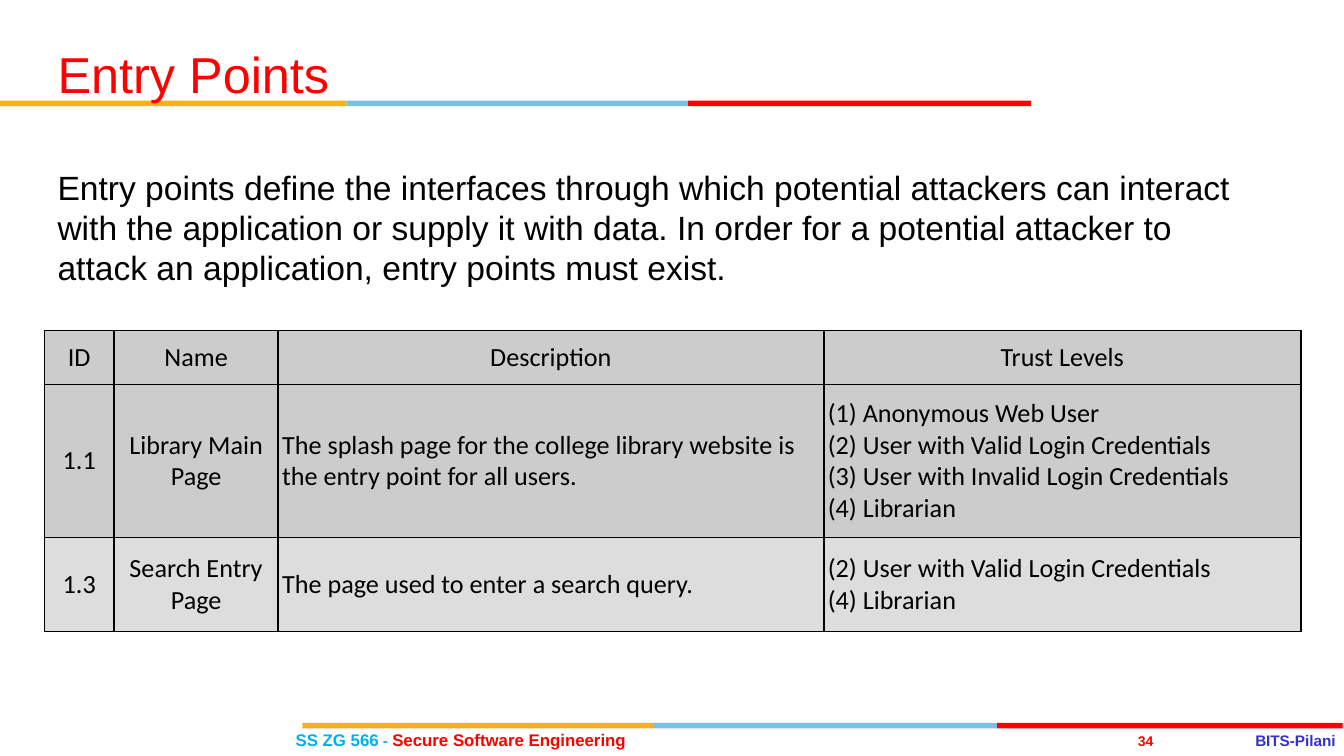
from dataclasses import dataclass

import lxml.etree
import pptx
import pptx.dml.color
import pptx.enum.shapes
import pptx.enum.text
import pptx.oxml.ns
import pptx.util

Inches = pptx.util.Inches
Pt = pptx.util.Pt
ALIGN = pptx.enum.text.PP_ALIGN
ANCHOR = pptx.enum.text.MSO_ANCHOR

COLORS = {
    "black": "000000",
    "red": "FF0000",
    "amber": "FCB017",
    "sky": "76C2E5",
    "cyan": "00B0F0",
    "navy": "3333CC",
    "gray": "CCCCCC",
    "light gray": "DDDDDD",
}


@dataclass
class Run:
    text: str
    size: float
    color: str = "black"
    bold: bool = False
    font: str = "Arial"


@dataclass
class Stripe:
    left: float
    top: float
    widths: tuple


@dataclass
class Row:
    """Each cell is a tuple of paragraphs; a newline is a line break."""
    height: float
    fill: str
    cells: tuple


def rgb(name: str) -> pptx.dml.color.RGBColor:
    return pptx.dml.color.RGBColor.from_string(COLORS[name])


def write(paragraph, runs: list, align=ALIGN.LEFT, line_spacing=None) -> None:
    paragraph.alignment = align
    if line_spacing:
        paragraph.line_spacing = Pt(line_spacing)
    for item in runs:
        for index, line in enumerate(item.text.split("\n")):
            if index:
                paragraph.add_line_break()
            run = paragraph.add_run()
            run.text = line
            run.font.name = item.font
            run.font.size = Pt(item.size)
            run.font.bold = item.bold
            run.font.color.rgb = rgb(item.color)


def add_text(slide, box: tuple, runs: list, anchor=ANCHOR.MIDDLE,
             margins: tuple = (0, 0), **paragraph_format) -> None:
    shape = slide.shapes.add_textbox(*(Inches(value) for value in box))
    frame = shape.text_frame
    frame.word_wrap = True
    frame.vertical_anchor = anchor
    frame.margin_left = frame.margin_right = Inches(margins[0])
    frame.margin_top = frame.margin_bottom = Inches(margins[1])
    write(frame.paragraphs[0], runs, **paragraph_format)


def add_stripe(slide, stripe: Stripe) -> None:
    left = stripe.left
    for width, color in zip(stripe.widths, ("amber", "sky", "red")):
        shape = slide.shapes.add_shape(
            pptx.enum.shapes.MSO_SHAPE.RECTANGLE,
            Inches(left), Inches(stripe.top), Inches(width), Inches(0.04))
        shape.shadow.inherit = False
        shape.fill.solid()
        shape.fill.fore_color.rgb = rgb(color)
        shape.line.fill.background()
        left += width


def add_borders(cell) -> None:
    properties = cell._tc.get_or_add_tcPr()
    qualified = pptx.oxml.ns.qn
    for position, side in enumerate(("a:lnL", "a:lnR", "a:lnT", "a:lnB")):
        line = lxml.etree.Element(qualified(side), w=str(Pt(1)))
        fill = lxml.etree.SubElement(line, qualified("a:solidFill"))
        lxml.etree.SubElement(fill, qualified("a:srgbClr"), val=COLORS["black"])
        properties.insert(position, line)


def fill_cell(cell, texts: tuple, fill: str, align) -> None:
    cell.fill.solid()
    cell.fill.fore_color.rgb = rgb(fill)
    cell.vertical_anchor = ANCHOR.MIDDLE
    cell.margin_left = cell.margin_right = Inches(0.03)
    cell.margin_top = cell.margin_bottom = Inches(0.03)
    frame = cell.text_frame
    for index, text in enumerate(texts):
        paragraph = frame.add_paragraph() if index else frame.paragraphs[0]
        write(paragraph, [Run(text, 14, font="Calibri")], align=align)
    add_borders(cell)


def add_entry_table(slide, left: float, top: float, widths: tuple, rows: list) -> None:
    height = sum(row.height for row in rows)
    table = slide.shapes.add_table(
        len(rows), len(widths), Inches(left), Inches(top),
        Inches(sum(widths)), Inches(height)).table
    table.horz_banding = False
    for column, width in zip(table.columns, widths):
        column.width = Inches(width)
    for row_index, row in enumerate(rows):
        table.rows[row_index].height = Inches(row.height)
        for column_index, texts in enumerate(row.cells):
            centered = row_index == 0 or column_index < 2
            fill_cell(table.cell(row_index, column_index), texts, row.fill,
                      ALIGN.CENTER if centered else ALIGN.LEFT)


STRIPES = [
    Stripe(0, 0.75, (2.58, 2.54, 2.55)),
    Stripe(2.25, 5.38, (2.61, 2.56, 2.57)),
]

ENTRY_POINTS = [
    Row(0.4, "gray", (("ID",), ("Name",), ("Description",), ("Trust Levels",))),
    Row(1.14, "gray", (
        ("1.1",), ("Library Main Page",),
        ("The splash page for the college library website is the entry point for all users.",),
        ("(1) Anonymous Web User\n(2) User with Valid Login Credentials\n"
         "(3) User with Invalid Login Credentials\n(4) Librarian",))),
    Row(0.7, "light gray", (
        ("1.3",), ("Search Entry Page",), ("The page used to enter a search query.",),
        ("(2) User with Valid Login Credentials", "(4) Librarian"))),
]


def main() -> None:
    presentation = pptx.Presentation()
    presentation.slide_width = Inches(10)
    presentation.slide_height = Inches(10 * 9 / 16)
    slide = presentation.slides.add_slide(presentation.slide_layouts[6])

    # Stripes and footer
    for stripe in STRIPES:
        add_stripe(slide, stripe)
    add_text(slide, (9.34, 5.44, 0.64, 0.14),
             [Run("BITS-Pilani", 8.2, "navy", True)], align=ALIGN.JUSTIFY)
    add_text(slide, (8.4, 5.45, 0.25, 0.13),
             [Run("34", 7.5, "red", True)], align=ALIGN.CENTER)
    add_text(slide, (2.2, 5.43, 2.76, 0.15), [
        Run("SS ZG 566", 9, "cyan", True),
        Run(" - ", 8.2, "cyan", True),
        Run("Secure Software Engineering", 9, "red", True),
    ])

    # Title and introduction
    add_text(slide, (0.33, 0.27, 6.92, 0.63), [Run("Entry Points", 27, "red")],
             margins=(0.1, 0.05), line_spacing=27)
    add_text(slide, (0.33, 1.19, 9, 3.71), [Run(
        "Entry points define the interfaces through which potential attackers "
        "can interact with the application or supply it with data. In order for "
        "a potential attacker to attack an application, entry points must exist.", 18)],
        anchor=ANCHOR.TOP, margins=(0.1, 0.05))

    # Entry point table
    add_entry_table(slide, 0.33, 2.46, (0.52, 1.22, 4.06, 3.55), ENTRY_POINTS)

    presentation.save("out.pptx")


if __name__ == "__main__":
    main()
